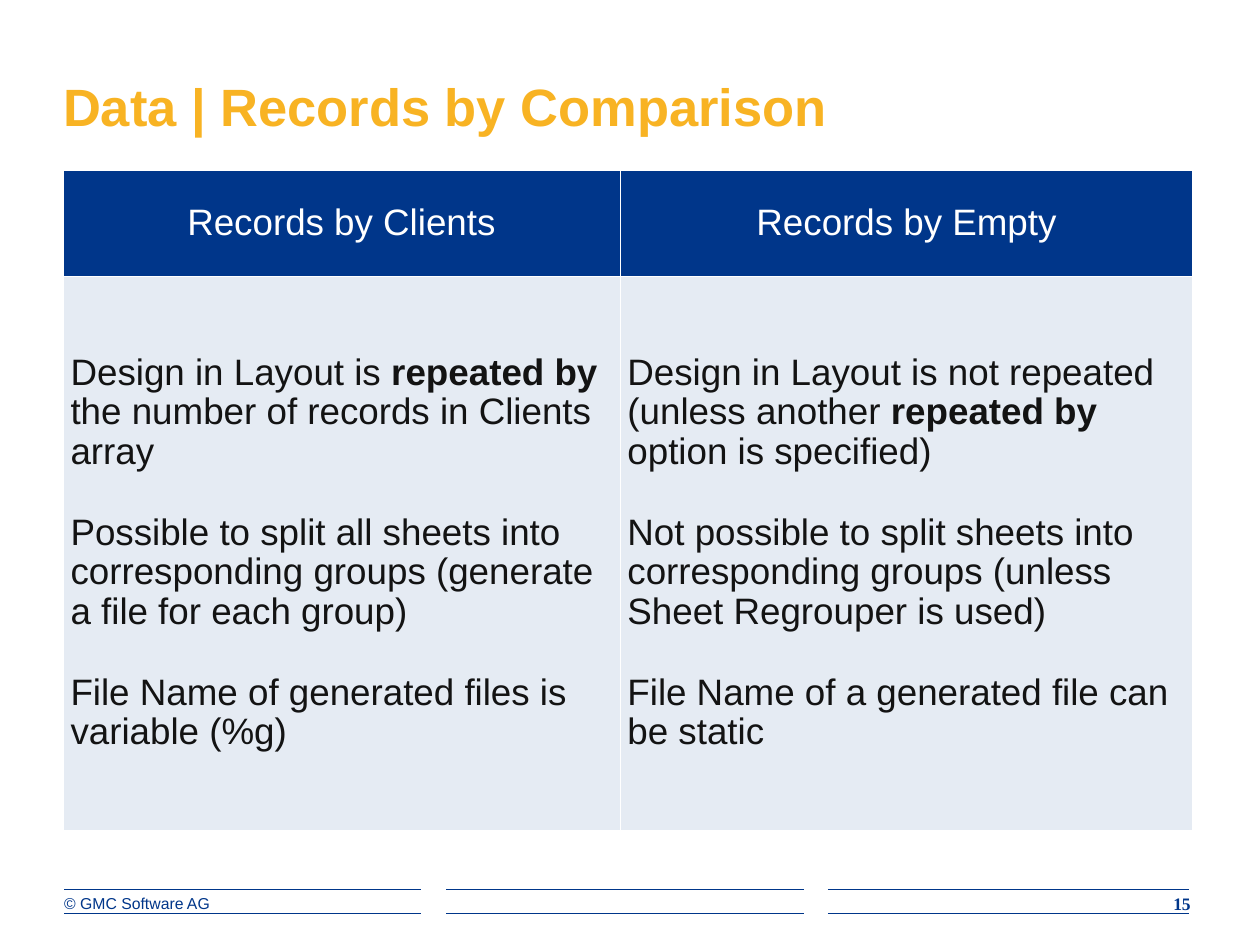
from dataclasses import dataclass

from lxml.etree import SubElement
from pptx import Presentation
from pptx.dml.color import RGBColor
from pptx.enum.shapes import MSO_CONNECTOR
from pptx.enum.text import MSO_ANCHOR, MSO_AUTO_SIZE, PP_ALIGN
from pptx.oxml.ns import qn
from pptx.util import Inches, Pt


@dataclass(frozen=True)
class Theme:
    blue: str = "00368A"
    gold: str = "F8B323"
    white: str = "FFFFFF"
    pale: str = "E5EBF3"
    ink: str = "131313"
    font: str = "Arial"
    number_font: str = "Times New Roman"
    title_size: float = 30
    table_size: float = 21
    footer_size: float = 9
    number_size: float = 10
    rule_width: float = 0.5
    border_width: float = 0.45
    line_spacing: float = 0.97
    paragraph_gap: float = 23.3


THEME = Theme()
TITLE = "Data | Records by Comparison"
# Each column: heading, then paragraphs of (text, bold) spans.
COLUMNS = [
    ("Records by Clients", [
        [("Design in Layout is ", False), ("repeated by", True),
         (" the number of records in Clients array", False)],
        [("Possible to split all sheets into corresponding groups "
          "(generate a file for each group)", False)],
        [("File Name of generated files is variable (%g)", False)],
    ]),
    ("Records by Empty", [
        [("Design in Layout is not repeated (unless another ", False),
         ("repeated by", True), (" option is specified)", False)],
        [("Not possible to split sheets into corresponding groups "
          "(unless Sheet Regrouper is used)", False)],
        [("File Name of a generated file can be static", False)],
    ]),
]


def set_all(target, values):
    for name, value in values.items():
        setattr(target, name, value)


def add_span(para, text, size, color, bold=False, font=THEME.font):
    span = para.add_run()
    span.text = text
    set_all(span.font, {"name": font, "size": Pt(size), "bold": bold})
    span.font.color.rgb = RGBColor.from_string(color)


def format_frame(frame, anchor):
    set_all(frame, {
        "margin_left": 0, "margin_top": 0, "margin_right": 0, "margin_bottom": 0,
        "word_wrap": True, "auto_size": MSO_AUTO_SIZE.NONE,
        "vertical_anchor": anchor,
    })


def place_title(page, left, top, width, height):
    title = page.shapes.title
    set_all(title, {"left": Inches(left), "top": Inches(top),
                    "width": Inches(width), "height": Inches(height)})
    format_frame(title.text_frame, MSO_ANCHOR.BOTTOM)
    para = title.text_frame.paragraphs[0]
    para.alignment = PP_ALIGN.LEFT
    add_span(para, TITLE, THEME.title_size, THEME.gold, bold=True)


def add_border(cell, edge):
    line = SubElement(cell._tc.get_or_add_tcPr(), qn(f"a:ln{edge}"),
                      w=str(int(Pt(THEME.border_width))))
    fill = SubElement(line, qn("a:solidFill"))
    SubElement(fill, qn("a:srgbClr"), val=THEME.white)


def format_cell(cell, edges, color):
    """Borders go in before the fill, as the schema orders them."""
    set_all(cell, {
        "margin_left": Inches(0.06), "margin_right": Inches(0.06),
        "margin_top": Inches(0.05), "margin_bottom": Inches(0.05),
        "vertical_anchor": MSO_ANCHOR.MIDDLE,
    })
    for edge in edges:
        add_border(cell, edge)
    cell.fill.solid()
    cell.fill.fore_color.rgb = RGBColor.from_string(color)


def fill_heading(cell, text):
    para = cell.text_frame.paragraphs[0]
    para.alignment = PP_ALIGN.CENTER
    add_span(para, text, THEME.table_size, THEME.white)


def fill_body(cell, paragraphs):
    frame = cell.text_frame
    for index, spans in enumerate(paragraphs):
        para = frame.add_paragraph() if index else frame.paragraphs[0]
        para.line_spacing = THEME.line_spacing
        if index:
            para.space_before = Pt(THEME.paragraph_gap)
        for text, bold in spans:
            add_span(para, text, THEME.table_size, THEME.ink, bold)


def place_comparison(page, left, top, widths, heights):
    table = page.shapes.add_table(
        len(heights), len(widths), Inches(left), Inches(top),
        Inches(sum(widths)), Inches(sum(heights))).table
    set_all(table, {"first_row": False, "horz_banding": False})
    for row, height in zip(table.rows, heights):
        row.height = Inches(height)
    for index, (heading, paragraphs) in enumerate(COLUMNS):
        table.columns[index].width = Inches(widths[index])
        side = "L" if index else "R"
        head, body = table.cell(0, index), table.cell(1, index)
        format_cell(head, side + "B", THEME.blue)
        format_cell(body, side + "T", THEME.pale)
        fill_heading(head, heading)
        fill_body(body, paragraphs)


def add_rule(page, start, end, y):
    rule = page.shapes.add_connector(
        MSO_CONNECTOR.STRAIGHT, Inches(start), Inches(y), Inches(end), Inches(y))
    rule.line.width = Pt(THEME.rule_width)
    rule.line.color.rgb = RGBColor.from_string(THEME.blue)
    SubElement(rule._element.spPr, qn("a:effectLst"))


def add_footer_text(page, left, top, width, text, alignment, **style):
    box = page.shapes.add_textbox(
        Inches(left), Inches(top), Inches(width), Inches(0.2))
    format_frame(box.text_frame, MSO_ANCHOR.TOP)
    para = box.text_frame.paragraphs[0]
    para.alignment = alignment
    add_span(para, text, color=THEME.blue, **style)


def place_footer(page, left, top, width, height):
    right = left + width
    segments = [(left, left + 2.83), (left + 3.03, left + 5.87),
                (left + 6.06, right)]
    for y in (top, top + height):
        for start, end in segments:
            add_rule(page, start, end, y)
    add_footer_text(page, left, top + 0.03, 2.81, "© GMC Software AG",
                    PP_ALIGN.LEFT, size=THEME.footer_size)
    add_footer_text(page, right - 0.78, top + 0.03, 0.79, "15", PP_ALIGN.RIGHT,
                    size=THEME.number_size, bold=True, font=THEME.number_font)


def main():
    deck = Presentation()
    set_all(deck, {"slide_width": Inches(10), "slide_height": Inches(7.5)})
    page = deck.slides.add_slide(deck.slide_layouts.get_by_name("Title Only"))
    place_footer(page, 0.51, 7.06, 8.93, 0.19)
    place_title(page, 0.5, 0.41, 6.82, 0.68)
    place_comparison(page, 0.5, 1.35, widths=(4.42, 4.55), heights=(0.84, 4.4))
    deck.save("out.pptx")


if __name__ == "__main__":
    main()
